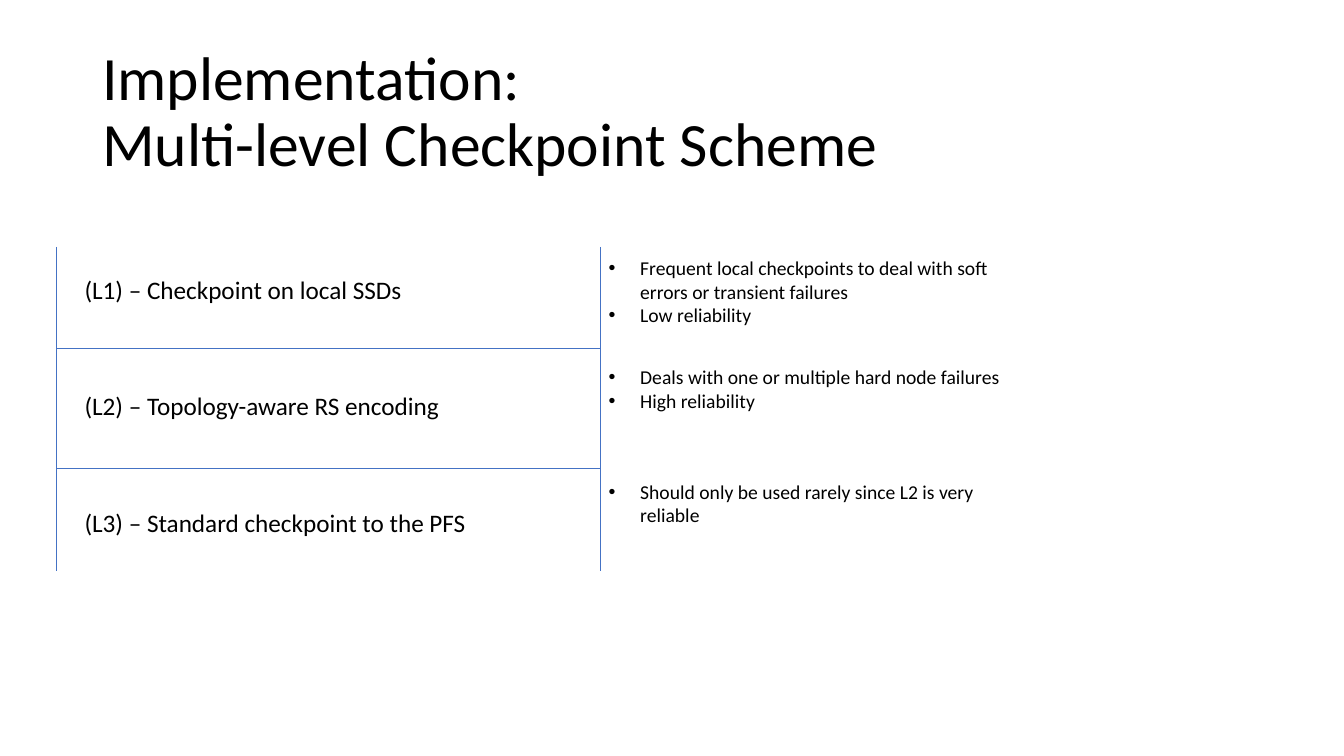
from dataclasses import dataclass

from lxml.etree import SubElement
from pptx import Presentation
from pptx.dml.color import RGBColor as Color
from pptx.enum.shapes import MSO_CONNECTOR as Connector
from pptx.enum.text import MSO_ANCHOR as Anchor
from pptx.oxml.ns import qn
from pptx.slide import Slide
from pptx.util import Pt


@dataclass(frozen=True)
class Theme:
    font: str = "Calibri"
    ink: Color = Color(0x00, 0x00, 0x00)
    rule: Color = Color(0x44, 0x72, 0xC4)
    title_size: float = 44
    label_size: float = 18
    detail_size: float = 14
    rule_width: float = 0.5
    bullet_indent: float = 22.5


@dataclass(frozen=True)
class Level:
    label: str
    details: tuple[str, ...]
    detail_top: float
    detail_height: float


@dataclass(frozen=True)
class Rule:
    x1: float
    y1: float
    x2: float
    y2: float


THEME = Theme()

TITLE = "Implementation:\nMulti-level Checkpoint Scheme"

LEVELS = (
    Level("(L1) – Checkpoint on local SSDs",
          ("Frequent local checkpoints to deal with soft errors or transient failures",
           "Low reliability"), 179.3, 58.2),
    Level("(L2) – Topology-aware RS encoding",
          ("Deals with one or multiple hard node failures",
           "High reliability"), 257.2, 58.2),
    Level("(L3) – Standard checkpoint to the PFS",
          ("Should only be used rarely since L2 is very reliable",), 339.2, 41.2),
)

# Frame of the level grid
LEFT, RIGHT, TOP, BOTTOM = 40.3, 429.1, 176.4, 407.9
DIVIDERS = (249.1, 334.8)
LABEL_LEFT, LABEL_TOP, LABEL_PITCH = 53.3, 192.2, 83.2
DETAIL_LEFT, DETAIL_WIDTH = 427.7, 294.5

RULES = (
    *(Rule(LEFT, y, RIGHT, y) for y in DIVIDERS),
    *(Rule(x, TOP, x, BOTTOM) for x in (LEFT, RIGHT)),
)


def add_text(page: Slide, *lines: str, left: float, top: float, width: float,
             height: float, size: float, anchor: Anchor = Anchor.TOP,
             spacing: float = 1.0, bullets: bool = False) -> None:
    """Add a text box with one paragraph for each line."""
    box = page.shapes.add_textbox(Pt(left), Pt(top), Pt(width), Pt(height))
    frame = box.text_frame
    frame.word_wrap = True
    frame.vertical_anchor = anchor
    for index, line in enumerate(lines):
        para = frame.add_paragraph() if index else frame.paragraphs[0]
        para.text = line
        para.line_spacing = spacing
        for span in para.runs:
            span.font.name = THEME.font
            span.font.size = Pt(size)
            span.font.color.rgb = THEME.ink
        if bullets:
            props = para._p.get_or_add_pPr()
            indent = Pt(THEME.bullet_indent)
            props.set("marL", str(indent))
            props.set("indent", str(-indent))
            SubElement(props, qn("a:buFont"), typeface="Arial")
            SubElement(props, qn("a:buChar"), char="•")


def add_rule(page: Slide, rule: Rule) -> None:
    """Add a thin straight line without a shadow."""
    line = page.shapes.add_connector(Connector.STRAIGHT, Pt(rule.x1), Pt(rule.y1),
                                     Pt(rule.x2), Pt(rule.y2))
    line.line.color.rgb = THEME.rule
    line.line.width = Pt(THEME.rule_width)
    SubElement(line._element.spPr, qn("a:effectLst"))


def main() -> None:
    deck = Presentation()
    deck.slide_width, deck.slide_height = Pt(960), Pt(540)
    page = deck.slides.add_slide(deck.slide_layouts[6])

    # Title
    add_text(page, TITLE, left=66, top=28.8, width=828, height=104.4,
             size=THEME.title_size, anchor=Anchor.MIDDLE, spacing=0.9)

    # Grid lines
    for rule in RULES:
        add_rule(page, rule)

    # Checkpoint levels with their details
    for row, level in enumerate(LEVELS):
        add_text(page, level.label, left=LABEL_LEFT, top=LABEL_TOP + row * LABEL_PITCH,
                 width=350, height=29, size=THEME.label_size)
        add_text(page, *level.details, left=DETAIL_LEFT, top=level.detail_top,
                 width=DETAIL_WIDTH, height=level.detail_height,
                 size=THEME.detail_size, bullets=True)

    deck.save("out.pptx")


if __name__ == "__main__":
    main()
